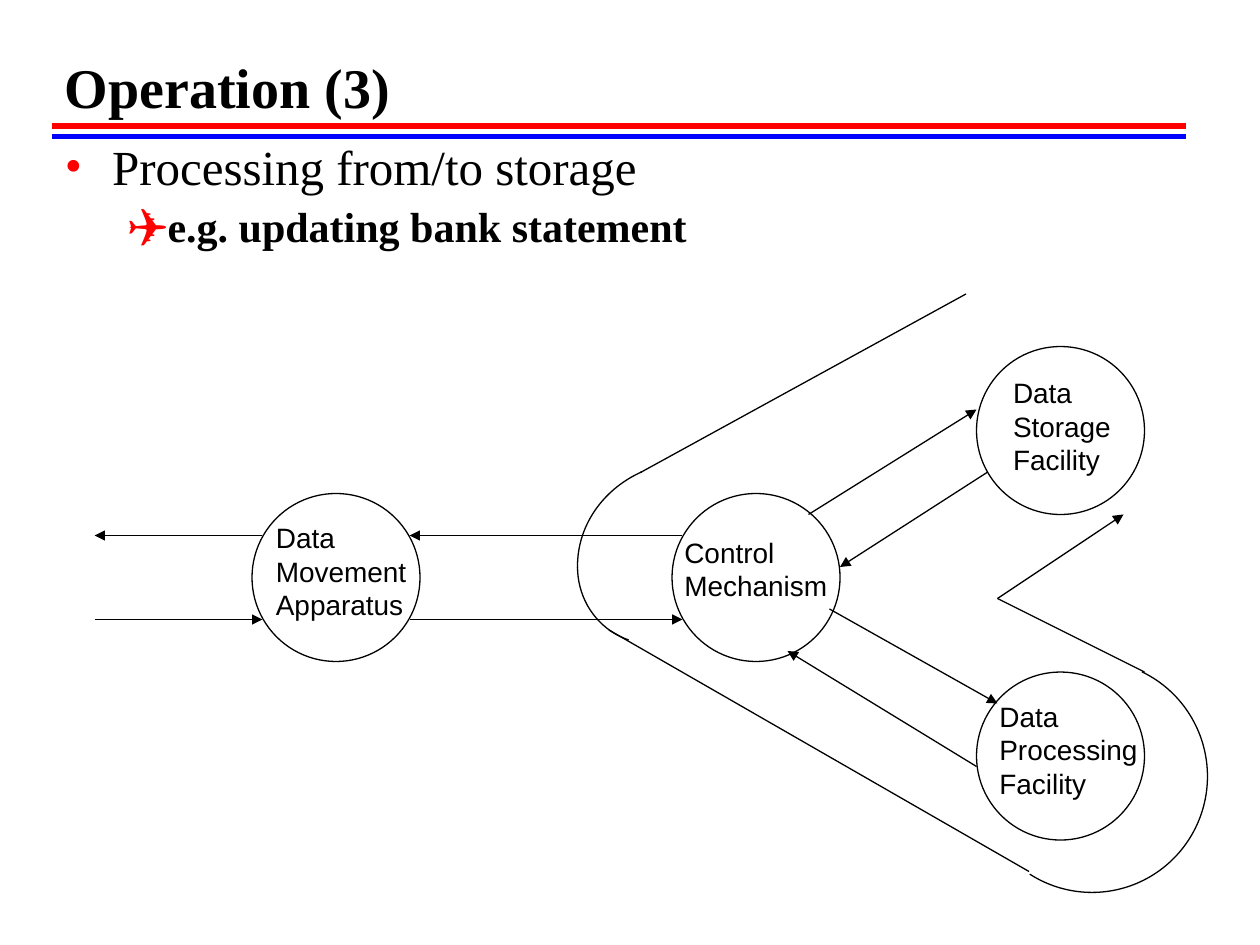
from dataclasses import dataclass

from pptx import Presentation
from pptx.dml.color import RGBColor
from pptx.enum import shapes, text
from pptx.oxml.ns import qn
from pptx.util import Pt
from lxml import etree

PX = 7620  # EMU per px, 120 px to the inch


@dataclass(frozen=True)
class Theme:
    ink = RGBColor(0, 0, 0)
    red = RGBColor(255, 0, 0)
    blue = RGBColor(0, 0, 255)
    serif = "Times New Roman"
    sans = "Arial"
    title_size = 32
    point_size = 28
    detail_size = 24
    label_size = 16
    rule_width = 3
    thin_width = 0.75


THEME = Theme()


def px(*lengths):
    return [round(length * PX) for length in lengths]


def add_text(page, box, lines, font, size, bold=False):
    frame = page.shapes.add_textbox(*px(*box)).text_frame
    frame.text = "\n".join(lines)
    frame.word_wrap = True
    for para in frame.paragraphs:
        style_text(para, font, size, bold)
    return frame


def style_text(para, font, size, bold):
    for span in para.runs:
        span.font.name = font
        span.font.size = Pt(size)
        span.font.bold = bold
        span.font.color.rgb = THEME.ink


def add_line(page, start, end, color=THEME.ink, width=THEME.thin_width, arrow=False):
    line = page.shapes.add_connector(
        shapes.MSO_CONNECTOR.STRAIGHT, *px(*start, *end))
    line.line.color.rgb = color
    line.line.width = Pt(width)
    properties = line._element.spPr
    if arrow:
        etree.SubElement(properties.find(qn("a:ln")), qn("a:tailEnd"), type="triangle")
    etree.SubElement(properties, qn("a:effectLst"))


def add_outline(page, kind, box):
    shape = page.shapes.add_shape(kind, *px(*box))
    shape.shadow.inherit = False
    shape.fill.background()
    shape.line.color.rgb = THEME.ink
    shape.line.width = Pt(THEME.thin_width)
    return shape


def set_bullet(para, symbol, margin, indent):
    properties = para._p.get_or_add_pPr()
    properties.set("marL", str(px(margin)[0]))
    properties.set("indent", str(px(indent)[0]))
    color = etree.SubElement(properties, qn("a:buClr"))
    etree.SubElement(color, qn("a:srgbClr"), val=str(THEME.red))
    etree.SubElement(properties, qn("a:buFont"), typeface=THEME.serif)
    etree.SubElement(properties, qn("a:buChar"), char=symbol)


def add_header(page, box, title):
    left, top, width, height = box
    frame = add_text(page, (left, top, width, height - 10), [title],
                     THEME.serif, THEME.title_size, bold=True)
    frame.vertical_anchor = text.MSO_ANCHOR.BOTTOM
    # Double rule under the title
    for offset, color in ((0, THEME.blue), (10, THEME.red)):
        y = top + height - offset
        add_line(page, (left, y), (left + width, y), color, THEME.rule_width)


def add_points(page, box, point, detail):
    frame = add_text(page, box, [point, detail], THEME.serif, THEME.point_size)
    first, second = frame.paragraphs
    style_text(second, THEME.serif, THEME.detail_size, True)
    second.level = 1
    for para, before in ((first, 7), (second, 6)):
        para.line_spacing = 0.9
        para.space_before = Pt(before)
    set_bullet(first, "•", 45, -45)
    set_bullet(second, "✈", 97, -37)


def add_node(page, box, lines, label_box):
    left, top = box[:2]
    add_outline(page, shapes.MSO_SHAPE.OVAL, box)
    x, y, width, height = label_box
    add_text(page, (left + x, top + y, width, height), lines,
             THEME.sans, THEME.label_size)


def add_diagram(page, box):
    left, top = box[:2]

    def at(x, y):
        return left + x, top + y

    # Units: position, words, label box relative to the circle
    nodes = [
        ((150, 190), ["Data", "Movement", "Apparatus"], (11, 20, 154, 108)),
        ((550, 190), ["Control", "Mechanism"], (0, 34, 166, 77)),
        ((840, 50), ["Data", "Storage", "Facility"], (23, 22, 124, 108)),
        ((840, 360), ["Data", "Processing", "Facility"], (10, 20, 164, 108)),
    ]
    for position, lines, label_box in nodes:
        add_node(page, (*at(*position), 160, 160), lines, label_box)

    # Flows between the units
    flows = [
        ((160, 230), (0, 230)), ((0, 310), (160, 310)),
        ((300, 310), (560, 310)), ((560, 230), (300, 230)),
        ((680, 210), (840, 110)), ((850, 170), (710, 260)),
        ((700, 300), (860, 390)), ((840, 450), (660, 340)),
    ]
    for start, end in flows:
        add_line(page, at(*start), at(*end), arrow=True)

    # Path round control and processing, ending at storage
    route = [
        ((830, 0), (520, 170), False), ((490, 320), (890, 550), False),
        ((860, 290), (1000, 360), False), ((860, 290), (980, 210), True),
    ]
    for start, end, arrow in route:
        add_line(page, at(*start), at(*end), arrow=arrow)

    # Bends of the path: box, start and end angle in degrees
    bends = [
        ((460, 159, 220, 200), 179, 241.5),
        ((460, 187, 140, 146), 107, 180),
        ((840, 349, 220, 221), -64.5, 122.5),
    ]
    for (x, y, width, height), start, end in bends:
        arc = add_outline(page, shapes.MSO_SHAPE.ARC, (*at(x, y), width, height))
        for index, angle in enumerate((start, end)):
            arc.adjustments[index] = angle % 360 * 0.6


def main():
    deck = Presentation()
    deck.slide_width, deck.slide_height = px(1200, 900)
    page = deck.slides.add_slide(deck.slide_layouts[6])
    add_header(page, (50, 30, 1080, 100), "Operation (3)")
    add_points(page, (50, 130, 1084, 125),
               "Processing from/to storage", "e.g. updating bank statement")
    add_diagram(page, (90, 280, 1060, 570))
    deck.save("out.pptx")


if __name__ == "__main__":
    main()
